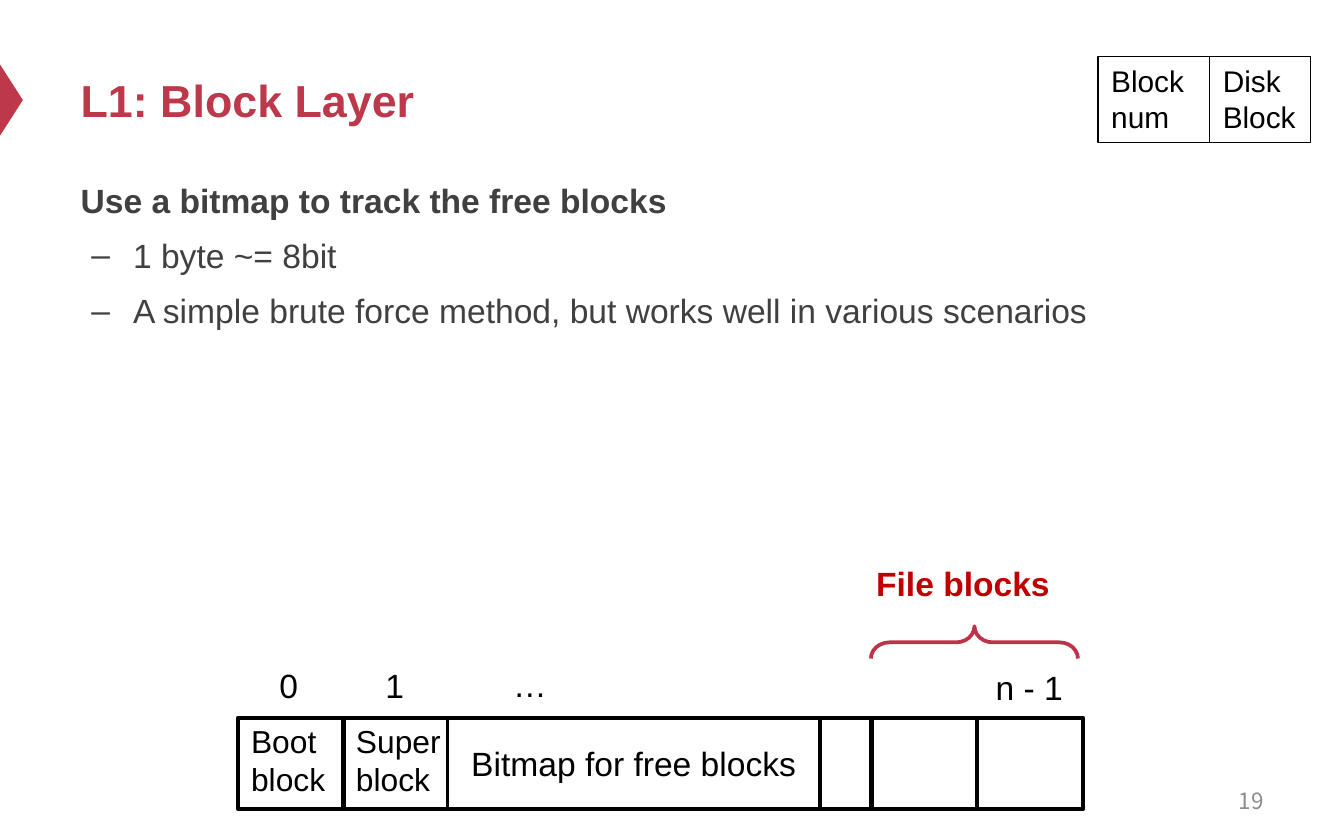
from dataclasses import dataclass

from lxml import etree
from pptx import Presentation
from pptx.dml.color import RGBColor
from pptx.enum.shapes import MSO_SHAPE as Shape
from pptx.enum.text import MSO_ANCHOR as Anchor, MSO_AUTO_SIZE as AutoSize, PP_ALIGN as Align
from pptx.oxml.ns import qn
from pptx.util import Emu, Pt

EMU_PER_PX = 9144  # 100 px to the inch


@dataclass(frozen=True)
class Theme:
    font: str = "Arial"
    number_font: str = "Noto Sans CJK SC"
    accent: str = "BE384B"
    brace: str = "BD3347"
    highlight: str = "C00000"
    body: str = "404040"
    ink: str = "000000"
    paper: str = "FFFFFF"
    muted: str = "8C8C8C"
    title_size: int = 24
    text_size: int = 18
    block_size: int = 17
    key_size: int = 16
    number_size: int = 12


THEME = Theme()
BLOCK_TOP, BLOCK_WIDTH, BLOCK_HEIGHT = 534, 79, 68


def px(value):
    return Emu(value * EMU_PER_PX)


def place(shape, left, top, width, height):
    shape.left, shape.top, shape.width, shape.height = map(px, (left, top, width, height))


def style(para, size, color, bold=False, font=THEME.font):
    for span in para.runs:
        span.font.name = font
        span.font.size = Pt(size)
        span.font.bold = bold
        span.font.color.rgb = RGBColor.from_string(color)


def write(shape, text, size, color=THEME.ink, align=Align.LEFT, anchor=Anchor.TOP,
          wrap=True, **font):
    frame = shape.text_frame
    frame.text = text
    frame.word_wrap = wrap
    frame.auto_size = AutoSize.NONE
    frame.vertical_anchor = anchor
    for para in frame.paragraphs:
        para.alignment = align
        style(para, size, color, **font)


def add_label(page, text, bounds, size=THEME.text_size, wrap=False, **look):
    box = page.shapes.add_textbox(*map(px, bounds))
    write(box, text, size, wrap=wrap, **look)


def add_outline(page, kind, bounds, line=None, weight=2, fill=None):
    shape = page.shapes.add_shape(kind, *map(px, bounds))
    shape.shadow.inherit = False
    if fill:
        shape.fill.solid()
        shape.fill.fore_color.rgb = RGBColor.from_string(fill)
    else:
        shape.fill.background()
    if line:
        shape.line.color.rgb = RGBColor.from_string(line)
        shape.line.width = Pt(weight)
    else:
        shape.line.fill.background()
    return shape


def set_bullet(para, char=None, margin=0, indent=0):
    properties = para._p.get_or_add_pPr()
    properties.set("marL", str(px(margin)))
    properties.set("indent", str(px(indent)))
    if char:
        etree.SubElement(properties, qn("a:buChar")).set("char", char)
    else:
        etree.SubElement(properties, qn("a:buNone"))


def add_heading(page):
    marker = add_outline(page, Shape.ISOSCELES_TRIANGLE, (-18, 66, 53, 17), fill=THEME.accent)
    marker.rotation = 90
    title = page.shapes.title
    place(title, 50, 25, 900, 98)
    write(title, "L1: Block Layer", THEME.title_size, THEME.accent,
          anchor=Anchor.MIDDLE, bold=True)


def add_body(page, lead, points):
    body = page.placeholders[1]
    place(body, 50, 123, 900, 412)
    frame = body.text_frame
    frame.text = "\n".join([lead, *points])
    frame.auto_size = AutoSize.NONE
    for index, para in enumerate(frame.paragraphs):
        is_point = index > 0
        para.line_spacing = 1.2
        para.space_before = Pt(3.6 if is_point else 0)
        if is_point:
            para.level = 1
            set_bullet(para, "–", 39, -31)
        else:
            set_bullet(para)
        style(para, THEME.text_size, THEME.body, bold=not is_point)


def add_key(page):
    for text, left, width in (("Block num", 817, 83), ("Disk\nBlock", 900, 75)):
        cell = add_outline(page, Shape.RECTANGLE, (left, 42, width, 64), THEME.ink, 0.75)
        write(cell, text, THEME.key_size)


def add_block(page, left, width=BLOCK_WIDTH, fill=None):
    bounds = (left, BLOCK_TOP, width, BLOCK_HEIGHT)
    return add_outline(page, Shape.RECTANGLE, bounds, THEME.ink, fill=fill)


def add_disk(page):
    for text, left in (("Boot\nblock", 177), ("Super\nblock", 255)):
        add_block(page, left)
        add_label(page, text, (left, BLOCK_TOP - 2, 80, 67), THEME.block_size)
    for left in (570, 648, 727):
        add_block(page, left)
    bitmap = add_block(page, 333, 277, THEME.paper)
    write(bitmap, "Bitmap for free blocks", THEME.text_size,
          align=Align.CENTER, anchor=Anchor.MIDDLE)

    for text, left, top, width in (("0", 198, 490, 34), ("1", 277, 490, 34),
                                   ("…", 372, 489, 45), ("n - 1", 731, 491, 71)):
        add_label(page, text, (left, top, width, 40))


def add_file_blocks(page):
    brace = add_outline(page, Shape.LEFT_BRACE, (713, 401, 24, 154), THEME.brace)
    brace.rotation = 90
    brace.adjustments[0] = 0.57
    brace.adjustments[1] = 0.5
    add_label(page, "File blocks", (641, 414, 151, 40), color=THEME.highlight,
              align=Align.CENTER, bold=True)


def main():
    deck = Presentation()
    deck.slide_width, deck.slide_height = px(1000), px(625)
    page = deck.slides.add_slide(deck.slide_layouts[1])
    add_heading(page)
    add_body(page, "Use a bitmap to track the free blocks",
             ["1 byte ~= 8bit",
              "A simple brute force method, but works well in various scenarios"])
    add_key(page)
    add_disk(page)
    add_file_blocks(page)
    add_label(page, "19", (717, 579, 233, 33), THEME.number_size, wrap=True,
              color=THEME.muted, align=Align.RIGHT, anchor=Anchor.MIDDLE,
              font=THEME.number_font)
    deck.save("out.pptx")


if __name__ == "__main__":
    main()
